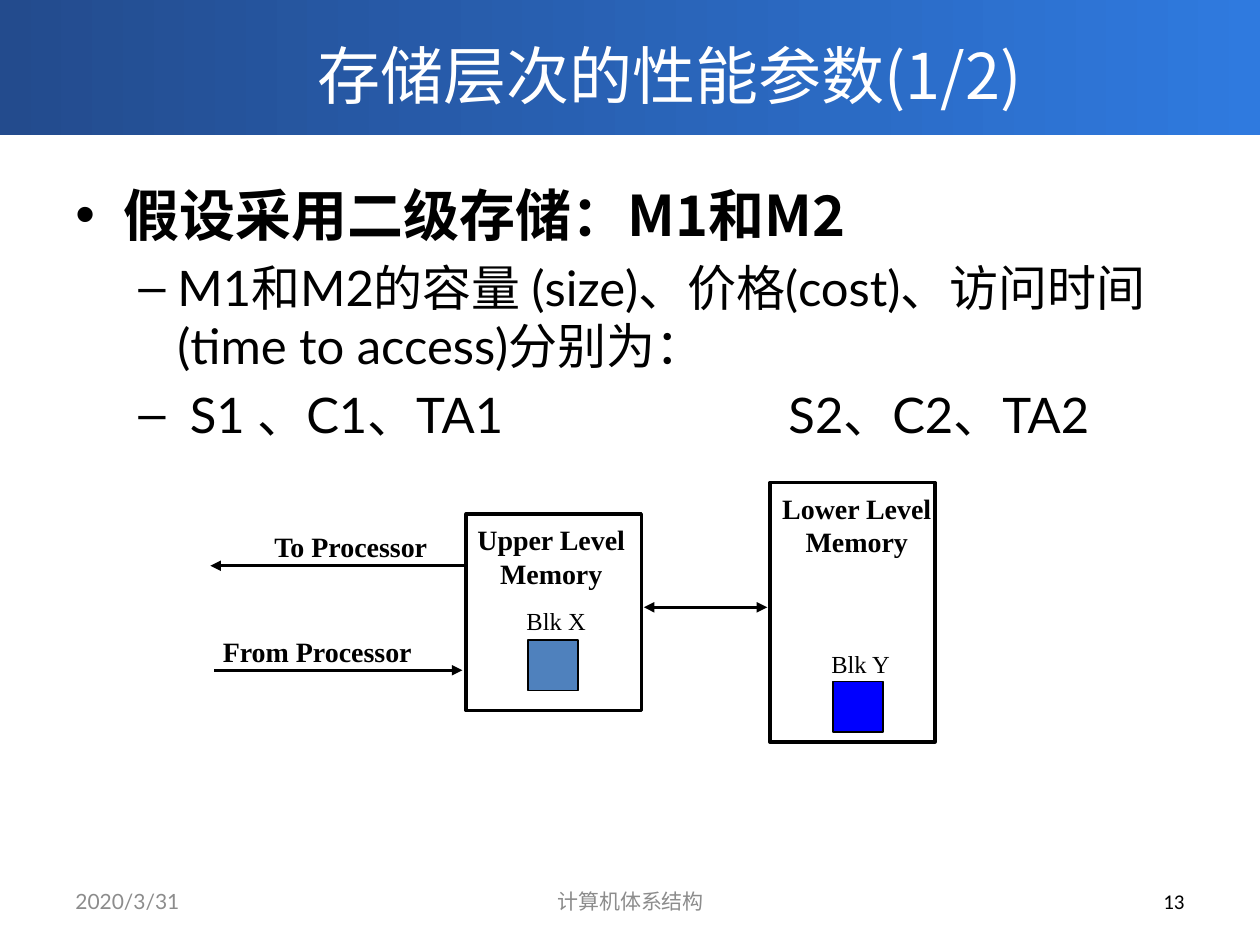
from lxml import etree
from pptx import Presentation
from pptx.dml.color import RGBColor
from pptx.enum.shapes import MSO_CONNECTOR, MSO_SHAPE
from pptx.enum.text import MSO_ANCHOR, PP_ALIGN
from pptx.oxml.ns import qn
from pptx.util import Inches, Pt

RECTANGLE, STRAIGHT = MSO_SHAPE.RECTANGLE, MSO_CONNECTOR.STRAIGHT
TOP, MIDDLE = MSO_ANCHOR.TOP, MSO_ANCHOR.MIDDLE
LEFT, CENTER, RIGHT = PP_ALIGN.LEFT, PP_ALIGN.CENTER, PP_ALIGN.RIGHT

THEME = {
    "black": "000000", "white": "FFFFFF", "gray": "8C8C8C",
    "banner": ("234B8D", "2F7ADF"), "upper block": "4F81BD", "lower block": "0000FF",
    "cjk": "Noto Sans CJK SC", "body": "Lato", "number": "Calibri", "diagram": "Times New Roman",
    "title size": 36, "heading size": 32, "body size": 28,
    "label size": 16, "block size": 14, "footer size": 12,
}

TITLE = "存储层次的性能参数(1/2)"
BULLETS = [
    (0, "假设采用二级存储：M1和M2"),
    (1, "M1和M2的容量 (size)、价格(cost)、访问时间 (time to access)分别为："),
    (1, " S1 、C1、TA1\tS2、C2、TA2"),
]
LEVELS = [
    {"mark": "•", "margin": 0.38, "hanging": 0.38, "size": "heading size", "font": "cjk", "bold": True},
    {"mark": "–", "margin": 0.81, "hanging": 0.31, "size": "body size", "font": "body", "bold": False},
]
COLUMN_TAB = 5.66
FOOTERS = [
    ("2020/3/31", 0.5, 2.33, LEFT, "body", "gray"),
    ("计算机体系结构", 3.42, 3.17, CENTER, "body", "gray"),
    ("13", 7.17, 2.33, RIGHT, "number", "black"),
]
MEMORIES = [(3.7, 4.08, 1.39, 1.56), (6.11, 3.83, 1.31, 2.06)]
BLOCKS = [(4.19, 5.08, "upper block"), (6.61, 5.41, "lower block")]
BLOCK_SIDE = 0.4
LABELS = [
    (["Lower Level", "Memory"], (6.1, 3.85, 1.4, 0.64), CENTER, "label size", True),
    (["Upper Level", "Memory"], (3.68, 4.1, 1.39, 0.64), CENTER, "label size", True),
    (["To Processor"], (2.08, 4.15, 1.43, 0.37), LEFT, "label size", True),
    (["From Processor"], (1.67, 4.99, 1.72, 0.37), LEFT, "label size", True),
    (["Blk X"], (4.08, 4.76, 0.68, 0.33), LEFT, "block size", False),
    (["Blk Y"], (6.5, 5.1, 0.67, 0.33), LEFT, "block size", False),
]
ARROWS = [
    (3.7, 1.67, 4.49, ["tailEnd"]),
    (1.7, 3.67, 5.32, ["tailEnd"]),
    (5.11, 6.09, 4.82, ["headEnd", "tailEnd"]),
]


def color(name):
    return RGBColor.from_string(THEME[name])


def add_run(paragraph, text, size, font, color_name, bold=False):
    run = paragraph.add_run()
    run.text = text
    run.font.size = Pt(THEME[size])
    run.font.name = THEME[font]
    run.font.bold = bold
    run.font.color.rgb = color(color_name)
    east_asian = etree.SubElement(run.font._element, qn("a:ea"))
    east_asian.set("typeface", THEME["cjk"])


def add_text_frame(slide, box, anchor=TOP, wrap=True):
    frame = slide.shapes.add_textbox(*map(Inches, box)).text_frame
    frame.word_wrap = wrap
    frame.vertical_anchor = anchor
    return frame


def add_rectangle(slide, box, width=None, fill=None):
    shape = slide.shapes.add_shape(RECTANGLE, *map(Inches, box))
    shape.shadow.inherit = False
    if fill:
        shape.fill.solid()
        shape.fill.fore_color.rgb = color(fill)
    else:
        shape.fill.background()
    if width:
        shape.line.color.rgb = color("black")
        shape.line.width = Pt(width)
    else:
        shape.line.fill.background()
    return shape


def add_banner(slide):
    banner = add_rectangle(slide, (0, -0.03, 10, 1.1))
    banner.fill.gradient()
    banner.fill.gradient_angle = 0
    for stop, value, position in zip(banner.fill.gradient_stops, THEME["banner"], (0, 1)):
        stop.color.rgb = RGBColor.from_string(value)
        stop.position = position
    paragraph = add_text_frame(slide, (1.13, 0.16, 8.37, 0.86), MIDDLE).paragraphs[0]
    paragraph.alignment = CENTER
    add_run(paragraph, TITLE, "title size", "cjk", "white")


def add_bullets(slide):
    frame = add_text_frame(slide, (0.5, 1.38, 9, 5.52))
    for index, (level, text) in enumerate(BULLETS):
        style = LEVELS[level]
        paragraph = frame.add_paragraph() if index else frame.paragraphs[0]
        paragraph.level = level
        if index:
            paragraph.space_before = Pt(THEME[style["size"]] * 0.2)
        properties = paragraph._p.get_or_add_pPr()
        properties.set("marL", str(Inches(style["margin"])))
        properties.set("indent", str(-Inches(style["hanging"])))
        etree.SubElement(properties, qn("a:buFont")).set("typeface", "Arial")
        etree.SubElement(properties, qn("a:buChar")).set("char", style["mark"])
        if "\t" in text:
            tabs = etree.SubElement(properties, qn("a:tabLst"))
            etree.SubElement(tabs, qn("a:tab"), pos=str(Inches(COLUMN_TAB)), algn="l")
        add_run(paragraph, text, style["size"], style["font"], "black", style["bold"])


def add_footers(slide):
    for text, left, width, alignment, font, color_name in FOOTERS:
        paragraph = add_text_frame(slide, (left, 6.95, width, 0.4), MIDDLE).paragraphs[0]
        paragraph.alignment = alignment
        add_run(paragraph, text, "footer size", font, color_name)


def add_arrow(slide, start, end, y, heads):
    arrow = slide.shapes.add_connector(STRAIGHT, *map(Inches, (start, y, end, y)))
    arrow.line.color.rgb = color("black")
    arrow.line.width = Pt(2)
    line = arrow.line._get_or_add_ln()
    for head in heads:
        etree.SubElement(line, qn("a:" + head), type="triangle")
    etree.SubElement(arrow._element.spPr, qn("a:effectLst"))


def add_diagram(slide):
    for box in MEMORIES:
        add_rectangle(slide, box, 2)
    for left, top, fill in BLOCKS:
        add_rectangle(slide, (left, top, BLOCK_SIDE, BLOCK_SIDE), 1, fill)
    for arrow in ARROWS:
        add_arrow(slide, *arrow)
    for lines, box, alignment, size, bold in LABELS:
        frame = add_text_frame(slide, box, wrap=False)
        for index, text in enumerate(lines):
            paragraph = frame.add_paragraph() if index else frame.paragraphs[0]
            paragraph.alignment = alignment
            add_run(paragraph, text, size, "diagram", "black", bold)


def main():
    presentation = Presentation()
    presentation.slide_width, presentation.slide_height = Inches(10), Inches(7.5)
    slide = presentation.slides.add_slide(presentation.slide_layouts[6])
    add_banner(slide)
    add_bullets(slide)
    add_footers(slide)
    add_diagram(slide)
    presentation.save("out.pptx")


if __name__ == "__main__":
    main()
